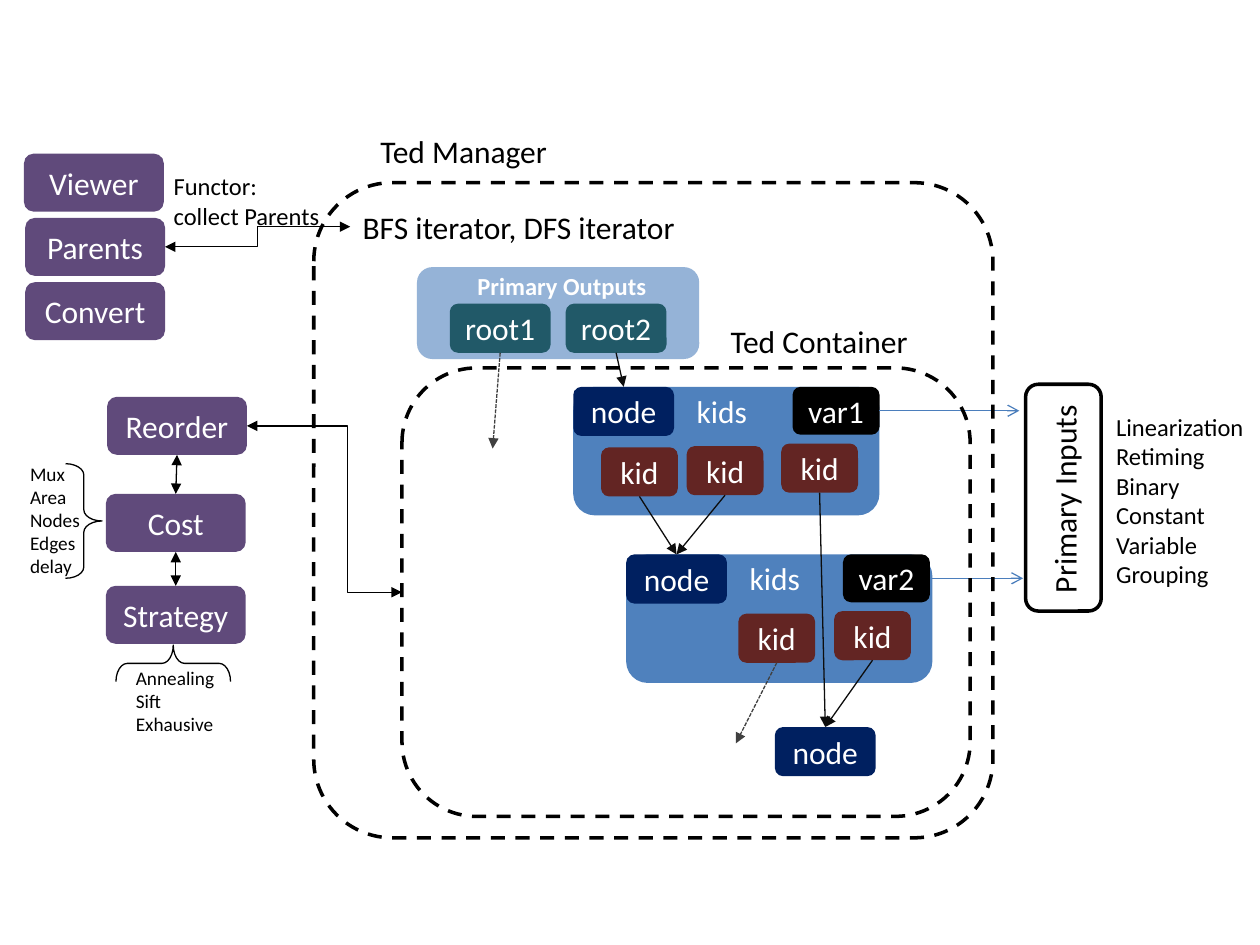
from dataclasses import dataclass

from lxml.etree import SubElement
from pptx import Presentation
from pptx.dml.color import RGBColor
from pptx.enum.dml import MSO_LINE_DASH_STYLE as Dash
from pptx.enum.shapes import MSO_CONNECTOR as Link, MSO_SHAPE as Preset
from pptx.enum.text import MSO_ANCHOR as Anchor, MSO_AUTO_SIZE as AutoSize, PP_ALIGN as Align
from pptx.oxml.ns import qn
from pptx.util import Pt

EMU_PER_PX = 9144  # 100 px to the inch
TOP, LEFT, BOTTOM, RIGHT = range(4)  # connection sites of a box


@dataclass(frozen=True)
class Theme:
    font: str = "Calibri"
    large: int = 18
    medium: int = 14
    small: int = 11
    thin: float = 0.75
    thick: float = 2
    black: str = "000000"
    white: str = "FFFFFF"
    tool: str = "604A7B"
    outputs: str = "95B3D7"
    root: str = "215968"
    block: str = "4F81BD"
    node: str = "002060"
    kid: str = "632523"
    edge: str = "0D0D0D"
    loose_edge: str = "404040"
    input_edge: str = "4B7EBC"


THEME = Theme()


def px(*values):
    return [value * EMU_PER_PX for value in values]


def rgb(color):
    return RGBColor.from_string(color)


def write(text_frame, lines, size, color, bold=False, align=Align.LEFT):
    for index, line in enumerate(lines):
        paragraph = text_frame.paragraphs[0] if index == 0 else text_frame.add_paragraph()
        paragraph.alignment = align
        run = paragraph.add_run()
        run.text = line
        run.font.name = THEME.font
        run.font.size = Pt(size)
        run.font.bold = bold
        run.font.color.rgb = rgb(color)


def add_box(slide, frame, fill, text=None):
    """Filled rounded box without a line, with an optional centred label."""
    shape = slide.shapes.add_shape(Preset.ROUNDED_RECTANGLE, *px(*frame))
    shape.shadow.inherit = False
    shape.fill.solid()
    shape.fill.fore_color.rgb = rgb(fill)
    shape.line.fill.background()
    if text:
        shape.text_frame.vertical_anchor = Anchor.MIDDLE
        write(shape.text_frame, [text], THEME.large, THEME.white, align=Align.CENTER)
    return shape


def add_outline(slide, frame, width, preset=Preset.ROUNDED_RECTANGLE, dash=None,
                adjustment=None, rotation=0):
    shape = slide.shapes.add_shape(preset, *px(*frame))
    shape.shadow.inherit = False
    shape.fill.background()
    shape.line.color.rgb = rgb(THEME.black)
    shape.line.width = Pt(width)
    shape.rotation = rotation
    if dash:
        shape.line.dash_style = dash
    if adjustment:
        shape.adjustments[0] = adjustment
    return shape


def add_label(slide, frame, *lines, size=THEME.large, color=THEME.black, bold=False, rotation=0):
    box = slide.shapes.add_textbox(*px(*frame))
    box.rotation = rotation
    box.text_frame.word_wrap = False
    box.text_frame.auto_size = AutoSize.SHAPE_TO_FIT_TEXT
    write(box.text_frame, lines, size, color, bold)
    return box


def add_arrow(slide, start, end, color=THEME.black, kind=Link.STRAIGHT, head=None,
              tail="triangle", dash=None, bend=None):
    """Each end is a point (x, y) or a (shape, connection site) pair."""
    glued = [not isinstance(place[0], int) for place in (start, end)]
    points = [(0, 0) if is_glued else px(*place)
              for place, is_glued in zip((start, end), glued)]
    connector = slide.shapes.add_connector(kind, *points[0], *points[1])
    if glued[0]:
        connector.begin_connect(*start)
    if glued[1]:
        connector.end_connect(*end)
    connector.line.color.rgb = rgb(color)
    connector.line.width = Pt(THEME.thin)
    if dash:
        connector.line.dash_style = dash
    properties = connector._element.spPr
    line = properties.find(qn("a:ln"))
    for tag, arrowhead in (("a:headEnd", head), ("a:tailEnd", tail)):
        if arrowhead:
            SubElement(line, qn(tag), type=arrowhead)
    SubElement(properties, qn("a:effectLst"))
    if bend:
        guides = properties.find(qn("a:prstGeom")).get_or_add_avLst()
        SubElement(guides, qn("a:gd"), name="adj1", fmla=f"val {bend}")


def add_block(slide, left, top, variable, variable_left, kid_places):
    """Node block with its variable and kids; returns node, variable and kids."""
    add_box(slide, (left, top, 243, 102), THEME.block)
    add_label(slide, (left + 88, top - 1, 61, 40), "kids", color=THEME.white)
    node = add_box(slide, (left, top, 80, 39), THEME.node, "node")
    variable_box = add_box(slide, (variable_left, top, 69, 38), THEME.black, variable)
    kids = [add_box(slide, (x, y, 61, 39), THEME.kid, "kid") for x, y in kid_places]
    return node, variable_box, kids


def add_container(slide):
    # Primary outputs
    add_box(slide, (331, 212, 224, 73), THEME.outputs)
    add_label(slide, (369, 210, 155, 34), "Primary Outputs",
              size=THEME.medium, color=THEME.white, bold=True)
    root1, root2 = [add_box(slide, (x, 241, 80, 39), THEME.root, name)
                    for x, name in ((357, "root1"), (449, "root2"))]

    # Node blocks and the last node
    node1, var1, kids1 = add_block(slide, 455, 307, "var1", 629,
                                   [(477, 355), (545, 354), (620, 352)])
    node2, var2, kids2 = add_block(slide, 497, 440, "var2", 669, [(586, 487), (662, 485)])
    last_node = add_box(slide, (615, 577, 80, 39), THEME.node, "node")

    # Edges of the diagram
    for parent, child in ((root2, node1), (kids1[0], node2), (kids1[1], node2),
                          (kids1[2], last_node), (kids2[1], last_node)):
        add_arrow(slide, (parent, BOTTOM), (child, TOP), THEME.edge)
    for parent, point in ((root1, (391, 356)), (kids2[0], (584, 590))):
        add_arrow(slide, (parent, BOTTOM), point, THEME.loose_edge, dash=Dash.SQUARE_DOT)
    for variable, point in ((var1, (809, 326)), (var2, (812, 459))):
        add_arrow(slide, (variable, RIGHT), point, THEME.input_edge, tail="arrow")

    # Container frame
    add_label(slide, (570, 251, 163, 40), "Ted Container")
    return add_outline(slide, (319, 292, 451, 356), THEME.thick, dash=Dash.DASH)


def add_inputs(slide):
    add_outline(slide, (814, 305, 60, 180), THEME.thick)
    add_label(slide, (759, 375, 171, 40), "Primary Inputs", rotation=270)
    add_label(slide, (876, 322, 123, 151), "Linearization", "Retiming", "Binary",
              "Constant", "Variable", "Grouping", size=THEME.medium)


def add_tools(slide, container, iterators):
    places = {"Viewer": (19, 122), "Parents": (20, 173), "Convert": (20, 224),
              "Reorder": (85, 315), "Cost": (84, 392), "Strategy": (84, 465)}
    tools = {name: add_box(slide, (x, y, 111, 46), THEME.tool, name)
             for name, (x, y) in places.items()}

    # Two-way arrows
    for upper, lower in (("Reorder", "Cost"), ("Cost", "Strategy")):
        add_arrow(slide, (tools[upper], BOTTOM), (tools[lower], TOP), head="triangle")
    for name, target, bend in (("Parents", iterators, 50000), ("Reorder", container, 64700)):
        add_arrow(slide, (tools[name], RIGHT), (target, LEFT), kind=Link.ELBOW,
                  head="triangle", bend=bend)

    # Notes and their braces
    add_label(slide, (128, 131, 137, 57), "Functor:", "collect Parents", size=THEME.medium)
    add_label(slide, (14, 362, 60, 103), "Mux", "Area", "Nodes", "Edges", "delay",
              size=THEME.small)
    add_label(slide, (98, 524, 83, 66), "Annealing", "Sift", "Exhausive", size=THEME.small)
    for x, y, rotation in ((52, 368, 0), (123, 481, 270)):
        add_outline(slide, (x, y, 29, 91), THEME.thin, Preset.RIGHT_BRACE,
                    adjustment=0.31, rotation=rotation)


def main():
    presentation = Presentation()
    presentation.slide_width, presentation.slide_height = px(1000, 750)
    slide = presentation.slides.add_slide(presentation.slide_layouts[6])

    container = add_container(slide)
    add_inputs(slide)

    # Manager frame
    add_label(slide, (292, 100, 154, 40), "Ted Manager")
    add_outline(slide, (249, 145, 539, 520), THEME.thick, dash=Dash.DASH, adjustment=0.12)
    iterators = add_label(slide, (278, 160, 270, 40), "BFS iterator, DFS iterator")

    add_tools(slide, container, iterators)
    presentation.save("out.pptx")


if __name__ == "__main__":
    main()
